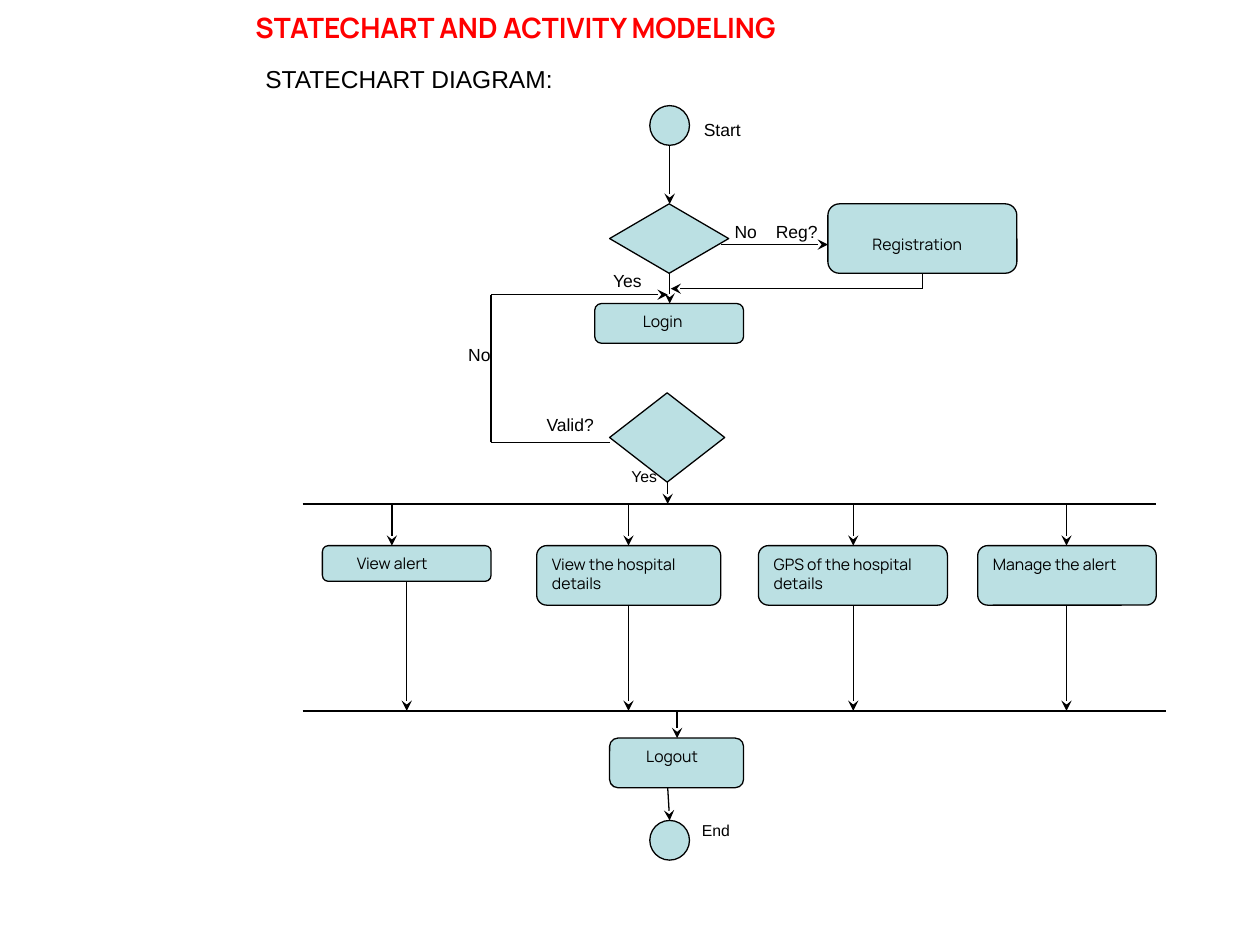
"""Build the statechart diagram slide."""
from lxml import etree
from pptx import Presentation
from pptx.dml.color import RGBColor
from pptx.enum.shapes import MSO_CONNECTOR, MSO_SHAPE
from pptx.enum.text import MSO_ANCHOR
from pptx.oxml.ns import qn
from pptx.util import Cm, Pt

BLACK = RGBColor(0x00, 0x00, 0x00)
RED = RGBColor(0xFF, 0x00, 0x00)
PALE_BLUE = RGBColor(0xBB, 0xE0, 0xE3)
STRAIGHT = MSO_CONNECTOR.STRAIGHT
CIRCLE = MSO_SHAPE.OVAL
DECISION = MSO_SHAPE.FLOWCHART_DECISION
PROCESS = MSO_SHAPE.FLOWCHART_ALTERNATE_PROCESS
ROUNDED = MSO_SHAPE.ROUNDED_RECTANGLE
TOP = MSO_ANCHOR.TOP
MIDDLE = MSO_ANCHOR.MIDDLE

FORK_Y = 10.16
ACTION_Y = 11
JOIN_Y = 14.33

presentation = Presentation()
presentation.slide_width = Cm(25.4)
presentation.slide_height = Cm(19.05)
slide = presentation.slides.add_slide(presentation.slide_layouts[6])


def write(shape, text, font_name, size, color=BLACK, bold=False):
    paragraph = shape.text_frame.paragraphs[0]
    paragraph.text = text
    paragraph.font.name = font_name
    paragraph.font.size = Pt(size)
    paragraph.font.color.rgb = color
    paragraph.font.bold = bold


def connect(start_x, start_y, end_x, end_y, arrow=True):
    connector = slide.shapes.add_connector(
        STRAIGHT, Cm(start_x), Cm(start_y), Cm(end_x), Cm(end_y))
    connector.line.color.rgb = BLACK
    connector.line.width = Pt(0.75)
    if arrow:
        line = connector.line._get_or_add_ln()
        etree.SubElement(line, qn("a:tailEnd"), type="stealth")
    etree.SubElement(connector._element.spPr, qn("a:effectLst"))


title = slide.shapes.add_textbox(Cm(4.9), Cm(0), Cm(20.5), Cm(1.12))
title.text_frame.word_wrap = True
title.text_frame.vertical_anchor = MIDDLE
write(title, "STATECHART AND ACTIVITY MODELING", "Manrope", 16, RED, True)

labels = [
    ("STATECHART DIAGRAM:", 5.35, 1.59, 8, 14),
    ("Start", 14.19, 2.62, 1.5, 10),
    ("No", 14.81, 4.66, 0.7, 10),
    ("Reg?", 15.64, 4.66, 1, 10),
    ("Yes", 12.36, 5.65, 1, 10),
    ("No", 9.44, 7.14, 0.7, 10),
    ("Valid?", 11.02, 8.55, 1.2, 10),
    ("End", 14.15, 16.73, 1, 9),
]
yes_label = ("Yes", 12.73, 9.6, 0.8, 9)

nodes = [
    (DECISION, 12.29, 4.11, 2.4, 1.4, "", 0.25, 0.13),
    (PROCESS, 11.99, 6.12, 3, 0.8, "Login", 0.93, 0.13),
    (DECISION, 12.29, 7.92, 2.32, 1.8, "", 0.25, 0.13),
    (PROCESS, 16.69, 4.11, 3.81, 1.4, "Registration", 0.83, 0.56),
    (CIRCLE, 13.1, 2.13, 0.8, 0.8, "", 0.25, 0.13),
    (PROCESS, 6.5, ACTION_Y, 3.4, 0.72, "View alert", 0.66, 0.13),
    (PROCESS, 10.82, ACTION_Y, 3.71, 1.2, "View the hospital details", 0.25, 0.13),
    (PROCESS, 15.29, ACTION_Y, 3.81, 1.2, "GPS of the hospital details", 0.25, 0.13),
    (ROUNDED, 19.71, ACTION_Y, 3.6, 1.2, "Manage the alert", 0.25, 0.13),
    (PROCESS, 12.29, 14.88, 2.7, 1, "Logout", 0.69, 0.13),
    (CIRCLE, 13.1, 16.54, 0.8, 0.8, "", 0.25, 0.13),
]
for kind, left, top, width, height, text, indent, text_top in nodes:
    shape = slide.shapes.add_shape(kind, Cm(left), Cm(top), Cm(width), Cm(height))
    shape.shadow.inherit = False
    shape.fill.solid()
    shape.fill.fore_color.rgb = PALE_BLUE
    shape.line.color.rgb = BLACK
    shape.line.width = Pt(0.75)
    if text:
        frame = shape.text_frame
        frame.word_wrap = True
        frame.vertical_anchor = TOP
        frame.margin_left = Cm(indent)
        frame.margin_top = Cm(text_top)
        write(shape, text, "Manrope", 9)
        frame.paragraphs[0].alignment = 1

for text, left, middle, width, size in labels + [yes_label]:
    label = slide.shapes.add_textbox(Cm(left), Cm(middle - 0.3), Cm(width), Cm(0.6))
    frame = label.text_frame
    frame.margin_left = frame.margin_right = 0
    frame.margin_top = frame.margin_bottom = 0
    frame.word_wrap = True
    frame.vertical_anchor = MIDDLE
    write(label, text, "Arial", size)

connect(6.1, FORK_Y, 23.3, FORK_Y, arrow=False)
connect(6.1, JOIN_Y, 23.5, JOIN_Y, arrow=False)

connect(13.5, 2.93, 13.5, 4.11)
connect(14.53, 4.93, 16.69, 4.93)
connect(13.5, 5.51, 13.5, 6.12)
connect(12.29, 8.92, 9.9, 8.92, arrow=False)
connect(9.9, 8.92, 9.9, 5.94, arrow=False)
connect(9.9, 5.94, 13.46, 5.94)
connect(18.6, 5.51, 18.6, 5.82, arrow=False)
connect(18.6, 5.82, 13.52, 5.82)
connect(13.46, 9.72, 13.46, FORK_Y)

branches = [(7.9, 8.2, 11.72), (12.67, 12.67, 12.2),
            (17.2, 17.2, 12.2), (21.5, 21.5, 12.2)]
for entry_x, exit_x, action_bottom in branches:
    connect(entry_x, FORK_Y, entry_x, ACTION_Y)
    connect(exit_x, action_bottom, exit_x, JOIN_Y)

connect(13.65, JOIN_Y, 13.65, 14.88)
connect(13.46, 15.88, 13.5, 16.54)

presentation.save("out.pptx")
